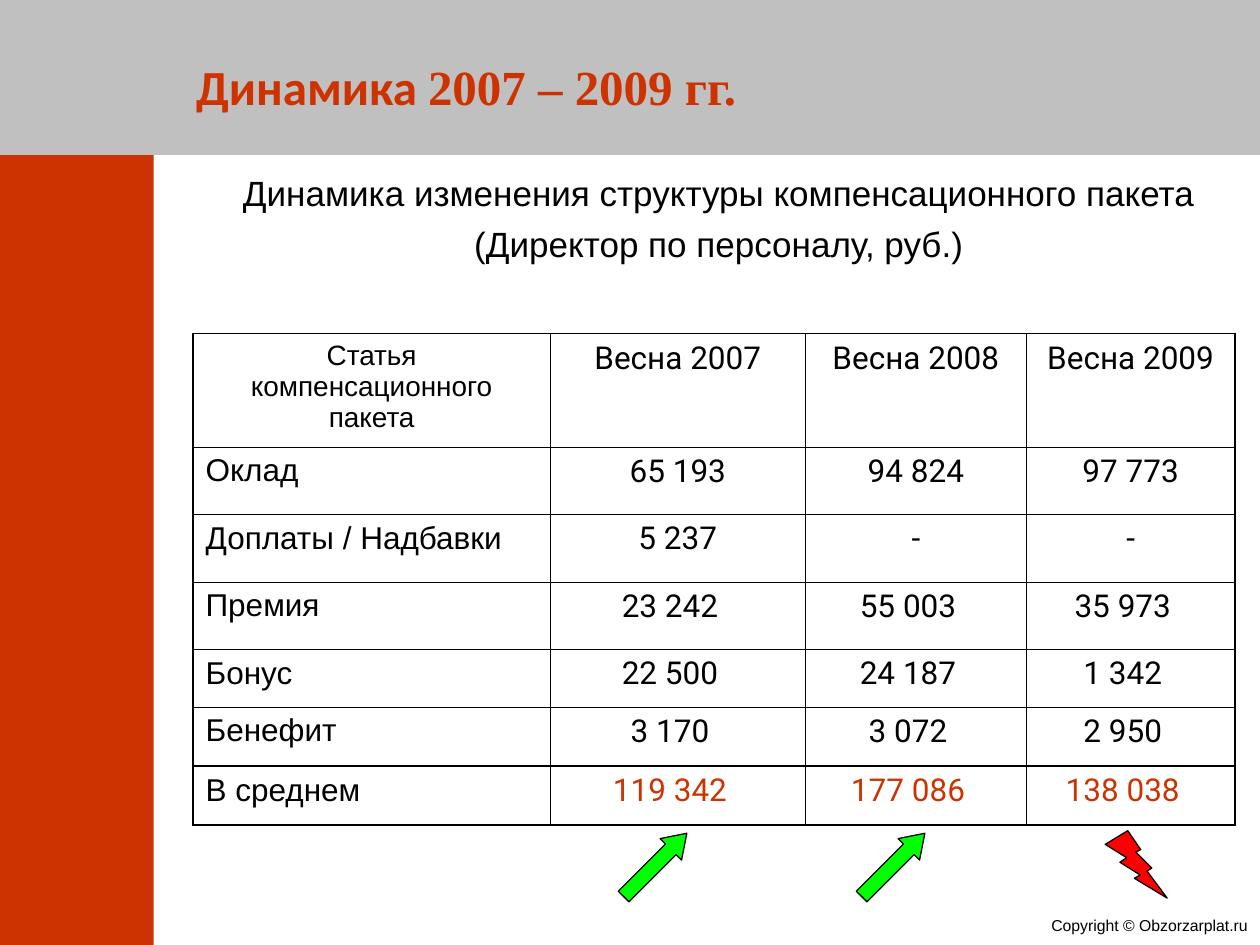
"""Build the pay trend slide for 2007 to 2009."""
import dataclasses

import lxml.etree
import pptx
import pptx.dml.color
import pptx.enum.shapes
import pptx.enum.text
import pptx.oxml.ns
import pptx.util

Pt = pptx.util.Pt
Align = pptx.enum.text.PP_ALIGN
Anchor = pptx.enum.text.MSO_ANCHOR
Shape = pptx.enum.shapes.MSO_SHAPE


@dataclasses.dataclass(frozen=True)
class Theme:
    ink: str = "000000"
    brand: str = "CC3300"
    band: str = "C0C0C0"
    rise: str = "00FF00"
    fall: str = "FF0000"
    sans: str = "Arial"
    digit: str = "Roboto"
    head: str = "Calibri"
    serif: str = "Times New Roman"
    title: float = 28
    lead: float = 20
    body: float = 18
    label: float = 16
    note: float = 9
    thin: float = 0.45
    thick: float = 1.08
    edge: float = 0.75


class Painter:
    def __init__(self, theme, slide):
        self.theme = theme
        self.slide = slide

    def color(self, code):
        return pptx.dml.color.RGBColor.from_string(code)

    def style(self, run, size, face, code, bold=False):
        run.font.size = Pt(size)
        run.font.name = face
        run.font.bold = bold
        run.font.color.rgb = self.color(code)

    def shape(self, kind, box, fill, edge=False, turn=0):
        shape = self.slide.shapes.add_shape(kind, *map(Pt, box))
        shape.shadow.inherit = False
        shape.fill.solid()
        shape.fill.fore_color.rgb = self.color(fill)
        shape.rotation = turn
        if edge:
            shape.line.color.rgb = self.color(self.theme.ink)
            shape.line.width = Pt(self.theme.edge)
        else:
            shape.line.fill.background()
        return shape

    def arrow(self, left):
        arrow = self.shape(Shape.UP_ARROW, (left, 468.7, 17.3, 51.1),
                           self.theme.rise, edge=True, turn=45)
        arrow.adjustments[0] = 0.5
        arrow.adjustments[1] = 0.75

    def text(self, box, lines, size, align, code, anchor=Anchor.TOP, bold=False, gap=0):
        frame = self.slide.shapes.add_textbox(*map(Pt, box)).text_frame
        frame.word_wrap = True
        frame.vertical_anchor = anchor
        for index, parts in enumerate(lines):
            para = frame.add_paragraph() if index else frame.paragraphs[0]
            para.alignment = align
            if index:
                para.space_before = Pt(gap)
            for words, face in parts:
                run = para.add_run()
                run.text = words
                self.style(run, size, face, code, bold)

    def border(self, cell, sides):
        props = cell._tc.get_or_add_tcPr()
        name = pptx.oxml.ns.qn
        for side, width in sides.items():
            line = lxml.etree.SubElement(props, name("a:ln" + side), w=str(Pt(width)))
            fill = lxml.etree.SubElement(line, name("a:solidFill"))
            lxml.etree.SubElement(fill, name("a:srgbClr"), val=self.theme.ink)

    def cell(self, cell, words, size, face, code, align, shift=0):
        cell.fill.background()
        cell.margin_left = Pt(7.2)
        cell.margin_right = Pt(7.2 + shift)
        cell.margin_top = cell.margin_bottom = Pt(3.6)
        cell.text_frame.text = words
        para = cell.text_frame.paragraphs[0]
        para.alignment = align
        self.style(para.runs[0], size, face, code)

    def table(self, left, top, wide, high, data):
        theme = self.theme
        box = map(Pt, (left, top, sum(wide), sum(high)))
        table = self.slide.shapes.add_table(len(high), len(wide), *box).table
        table.first_row = table.horz_banding = False
        for col, width in zip(table.columns, wide):
            col.width = Pt(width)
        for row, height in zip(table.rows, high):
            row.height = Pt(height)
        end, last = len(high) - 1, len(wide) - 1
        for r, row in enumerate(data):
            for c, words in enumerate(row):
                cell = table.cell(r, c)
                heavy = {"L": c == 0, "R": c == last,
                         "T": r in (0, end), "B": r >= end - 1}
                self.border(cell, {side: theme.thick if flag else theme.thin
                                   for side, flag in heavy.items()})
                self.cell(cell, words,
                          theme.label if r == c == 0 else theme.body,
                          theme.digit if c else theme.sans,
                          theme.brand if c and r == end else theme.ink,
                          Align.LEFT if r and not c else Align.CENTER,
                          9 if c and r > 2 else 0)


def main():
    theme = Theme()
    deck = pptx.Presentation()
    deck.slide_width, deck.slide_height = Pt(720), Pt(540)
    paint = Painter(theme, deck.slides.add_slide(deck.slide_layouts[6]))

    paint.shape(Shape.RECTANGLE, (0, 0, 720, 88.6), theme.band)
    paint.shape(Shape.RECTANGLE, (0, 88.6, 87.8, 451.4), theme.brand)
    paint.text((589.7, 517.7, 130.3, 22.3),
               [[("Copyright © Obzorzarplat.ru", theme.sans)]],
               theme.note, Align.RIGHT, theme.ink, Anchor.MIDDLE)
    paint.text((87.8, 15.1, 357.1, 67.7),
               [[("Динамика ", theme.head), ("2007 – 2009 гг.", theme.serif)]],
               theme.title, Align.CENTER, theme.brand, Anchor.MIDDLE, bold=True)
    paint.text((121.7, 94.3, 578.2, 73.4),
               [[("Динамика изменения структуры компенсационного пакета", theme.sans)],
                [("(Директор по персоналу, руб.)", theme.sans)]],
               theme.lead, Align.CENTER, theme.ink, gap=5)

    paint.table(110.3, 190.6, (204.2, 145.7, 126.4, 119),
                (64.8, 38.6, 38.6, 38.6, 32.9, 33.8, 33.8), (
        ("Статья компенсационного пакета", "Весна 2007", "Весна 2008", "Весна 2009"),
        ("Оклад", "65 193", "94 824", "97 773"),
        ("Доплаты / Надбавки", "5 237", "-", "-"),
        ("Премия", "23 242", "55 003", "35 973"),
        ("Бонус", "22 500", "24 187", "1 342"),
        ("Бенефит", "3 170", "3 072", "2 950"),
        ("В среднем", "119 342", "177 086", "138 038"),
    ))

    for left in (365.8, 501.8):
        paint.arrow(left)
    paint.shape(Shape.LIGHTNING_BOLT, (632.2, 474.5, 33.8, 39.6),
                theme.fall, edge=True, turn=357.1)
    deck.save("out.pptx")


if __name__ == "__main__":
    main()
